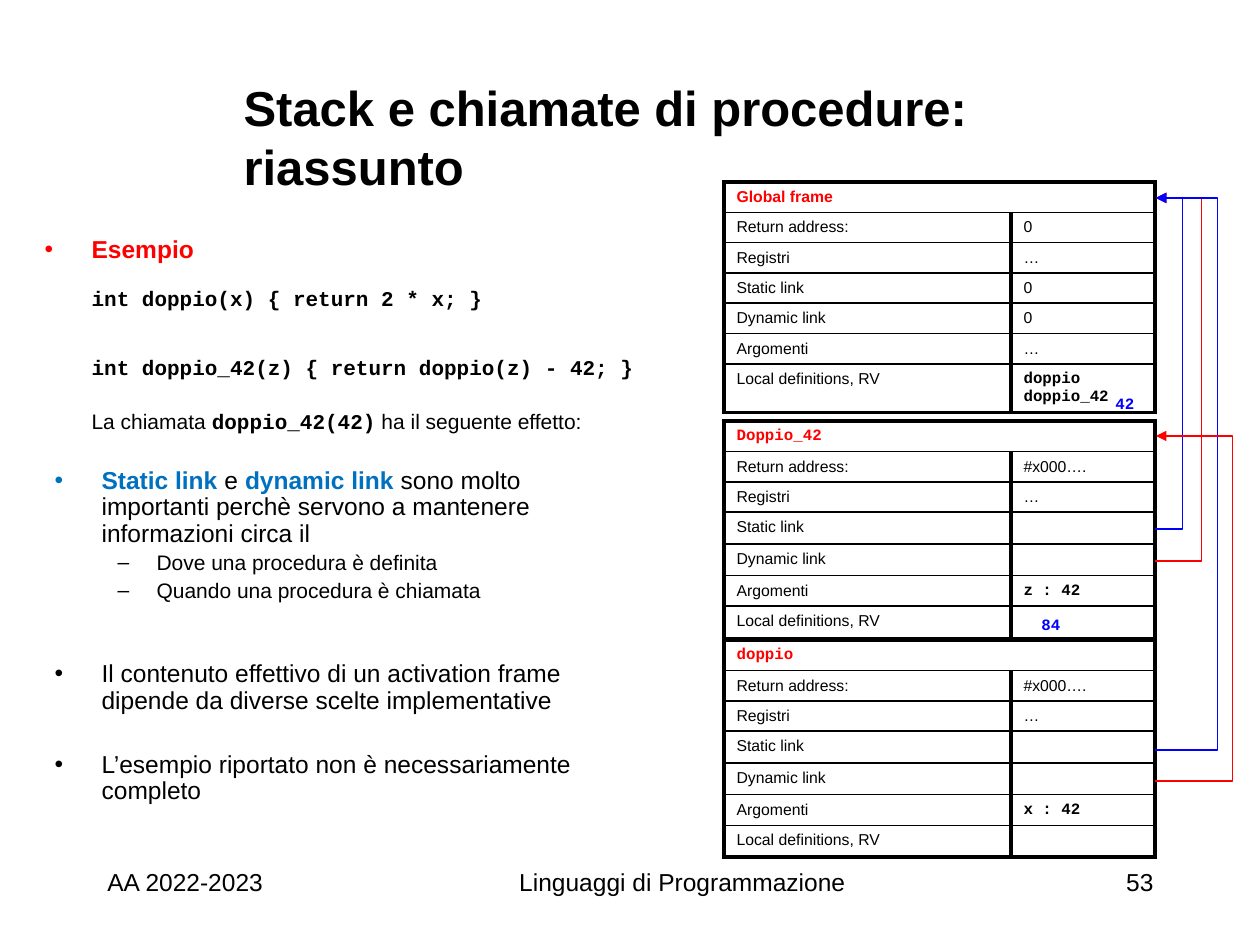
from dataclasses import dataclass

from lxml.etree import SubElement
from pptx import Presentation
from pptx.dml.color import RGBColor
from pptx.enum.shapes import MSO_CONNECTOR
from pptx.enum.text import MSO_ANCHOR, MSO_AUTO_SIZE, PP_ALIGN
from pptx.oxml.ns import qn
from pptx.util import Emu, Pt


@dataclass(frozen=True)
class Theme:
    """Hold the colours, fonts and type sizes of the slide."""
    black: str = "000000"
    red: str = "FF0000"
    blue: str = "0000FF"
    accent: str = "0070C0"
    sans: str = "Arial"
    mono: str = "Courier New"
    title: int = 28
    body: int = 14
    sub: int = 12
    cell: int = 9
    thick: float = 2.25
    thin: float = 1


T = Theme()
FRAME_LEFT, FRAME_RIGHT = 724, 1155
COLUMNS = (287, 144)
ROW = 30
LABELS = ("Return address:", "Registri", "Static link", "Dynamic link",
          "Argomenti", "Local definitions, RV")


def px(n):
    """Turn pixels of the 126 per inch grid into EMU."""
    return Emu(round(n * 914400 / 126))


def add_run(p, text, size, color=T.black, bold=False, font=T.sans):
    """Add one formatted run to a paragraph."""
    r = p.add_run()
    r.text = text
    r.font.size = Pt(size)
    r.font.name = font
    r.font.bold = bold
    r.font.color.rgb = RGBColor.from_string(color)


def place(s, left, top, width, height):
    """Move and size a shape and return its text frame."""
    s.left, s.top, s.width, s.height = map(px, (left, top, width, height))
    s.text_frame.word_wrap = True
    s.text_frame.auto_size = MSO_AUTO_SIZE.NONE
    return s.text_frame


def next_paragraph(tf):
    """Return the unused first paragraph or a new one."""
    first = tf.paragraphs[0]
    return tf.add_paragraph() if first.runs else first


def add_item(tf, runs, before, margin=47, indent=-47, bullet="•", level=0):
    """Add a list paragraph, without hanging when it has no bullet."""
    p = next_paragraph(tf)
    p.level = level
    p.line_spacing = 0.9
    p.space_before = Pt(before)
    pPr = p._p.get_or_add_pPr()
    pPr.set("marL", str(px(margin)))
    pPr.set("indent", str(px(indent if bullet else 0)))
    if bullet:
        SubElement(pPr, qn("a:buChar")).set("char", bullet)
    else:
        SubElement(pPr, qn("a:buNone"))
    for r in runs:
        add_run(p, *r)


def add_label(s, box, text, size, align=PP_ALIGN.LEFT, wrap=True, **style):
    """Add a text box with a single run."""
    tf = place(s.shapes.add_textbox(0, 0, 0, 0), *box)
    tf.word_wrap = wrap
    tf.paragraphs[0].alignment = align
    add_run(tf.paragraphs[0], text, size, **style)


def set_borders(cell, top, bottom):
    """Draw thick sides and the given top and bottom on a cell."""
    tcPr = cell._tc.get_or_add_tcPr()
    widths = (("a:lnL", T.thick), ("a:lnR", T.thick), ("a:lnT", top), ("a:lnB", bottom))
    for i, (tag, width) in enumerate(widths):
        ln = tcPr.makeelement(qn(tag), {"w": str(Pt(width))})
        SubElement(SubElement(ln, qn("a:solidFill")), qn("a:srgbClr")).set("val", T.black)
        tcPr.insert(i, ln)


def fill_cell(cell, lines, **style):
    """Write the lines of a cell, keeping empty cells at the cell type size."""
    cell.fill.background()
    for line in lines:
        p = next_paragraph(cell.text_frame)
        add_run(p, line, T.cell, **style)
    if not lines:
        end = SubElement(cell.text_frame.paragraphs[0]._p, qn("a:endParaRPr"))
        end.set("sz", str(T.cell * 100))


def add_frame(s, top, name, name_font, values, last_row):
    """Add one activation frame as a table."""
    heights = [ROW] * len(LABELS) + [last_row]
    shape = s.shapes.add_table(len(heights), 2, px(FRAME_LEFT), px(top),
                               px(sum(COLUMNS)), px(sum(heights)))
    table = shape.table
    table.first_row = table.horz_banding = False
    for column, width in zip(table.columns, COLUMNS):
        column.width = px(width)
    for row, height in zip(table.rows, heights):
        row.height = px(height)
    table.cell(0, 0).merge(table.cell(0, 1))
    fill_cell(table.cell(0, 0), [name], color=T.red, bold=True, font=name_font)
    fill_cell(table.cell(0, 1), [])
    for i, (label, value) in enumerate(zip(LABELS, values), 1):
        fill_cell(table.cell(i, 0), [label])
        code = any(c in value for c in ("doppio", ":"))
        fill_cell(table.cell(i, 1), value.splitlines(), bold=code,
                  font=T.mono if code else T.sans)
    for i in range(len(heights)):
        for j in range(2):
            set_borders(table.cell(i, j), T.thin if i else T.thick,
                        T.thin if i < len(LABELS) else T.thick)


def add_link(s, start, end, reach, color):
    """Add an elbow arrow that bulges to the right of the frames."""
    c = s.shapes.add_connector(MSO_CONNECTOR.ELBOW, px(FRAME_RIGHT), px(start),
                               px(FRAME_RIGHT + 1), px(end))
    c.line.color.rgb = RGBColor.from_string(color)
    c.line.width = Pt(0.75)
    SubElement(c.line._get_or_add_ln(), qn("a:tailEnd")).set("type", "triangle")
    spPr = c._element.spPr
    SubElement(spPr, qn("a:effectLst"))
    geometry = spPr.find(qn("a:prstGeom"))
    adjustments = geometry.find(qn("a:avLst"))
    if adjustments is None:
        adjustments = SubElement(geometry, qn("a:avLst"))
    gd = SubElement(adjustments, qn("a:gd"))
    gd.set("name", "adj1")
    gd.set("fmla", f"val {reach * 100000}")


def add_texts(s):
    """Fill the title, the two lists and the footer."""
    title, example, notes = s.placeholders
    tf = place(title, 231, 84, 935, 105)
    tf.vertical_anchor = MSO_ANCHOR.MIDDLE
    tf.paragraphs[0].alignment = PP_ALIGN.LEFT
    add_run(tf.paragraphs[0], "Stack e chiamate di procedure: riassunto", T.title, bold=True)

    tf = place(example, 32, 231, 620, 283)
    add_item(tf, [("Esempio", T.body, T.red, True)], 3)
    for code, before in (("int doppio(x) { return 2 * x; }", 14),
                         ("int doppio_42(z) { return doppio(z) - 42; }", 26.5)):
        add_item(tf, [(code, T.sub, T.black, True, T.mono)], before, bullet=None)
    add_item(tf, [("La chiamata ", T.sub),
                  ("doppio_42(42)", T.sub, T.black, True, T.mono),
                  (" ha il seguente effetto:", T.sub)], 18, bullet=None)

    tf = place(notes, 42, 462, 577, 388)
    add_item(tf, [("Static link", T.body, T.accent, True), (" e ", T.body),
                  ("dynamic link", T.body, T.accent, True),
                  (" sono molto importanti perchè servono a mantenere "
                   "informazioni circa il", T.body)], 3)
    for text in ("Dove una procedura è definita", "Quando una procedura è chiamata"):
        add_item(tf, [(text, T.sub)], 2.8, 102, -39, "–", 1)
    add_item(tf, [("Il contenuto effettivo di un activation frame dipende da "
                   "diverse scelte implementative", T.body)], 33.5)
    add_item(tf, [("L’esempio riportato non è necessariamente completo", T.body)], 21.5)

    for left, width, text, align in (
            (95, 315, "AA 2022-2023", PP_ALIGN.LEFT),
            (399, 567, "Linguaggi di Programmazione", PP_ALIGN.CENTER),
            (914, 252, "53", PP_ALIGN.RIGHT)):
        add_label(s, (left, 861, width, 63), text, T.body, align)


def main():
    """Build and save the slide."""
    prs = Presentation()
    prs.slide_width, prs.slide_height = px(1260), px(945)
    s = prs.slides.add_slide(prs.slide_layouts[3])
    add_texts(s)
    add_frame(s, 182, "Global frame", T.sans,
              ("0", "…", "0", "0", "…", "doppio\ndoppio_42"), 48)
    add_frame(s, 421, "Doppio_42", T.mono,
              ("#x000….", "…", "", "", "z : 42", ""), 32)
    add_frame(s, 640, "doppio", T.mono,
              ("#x000….", "…", "", "", "x : 42", ""), ROW)
    for left, top, result in ((1029, 609, "84"), (1103, 388, "42")):
        add_label(s, (left, top, 44, 32), result, T.cell, wrap=False,
                  color=T.blue, bold=True, font=T.mono)
    for start, end, reach, color in ((529, 198, 28, T.blue), (561, 198, 47, T.red),
                                     (750, 198, 63, T.blue), (781, 436, 78, T.red)):
        add_link(s, start, end, reach, color)
    prs.save("out.pptx")


main()
